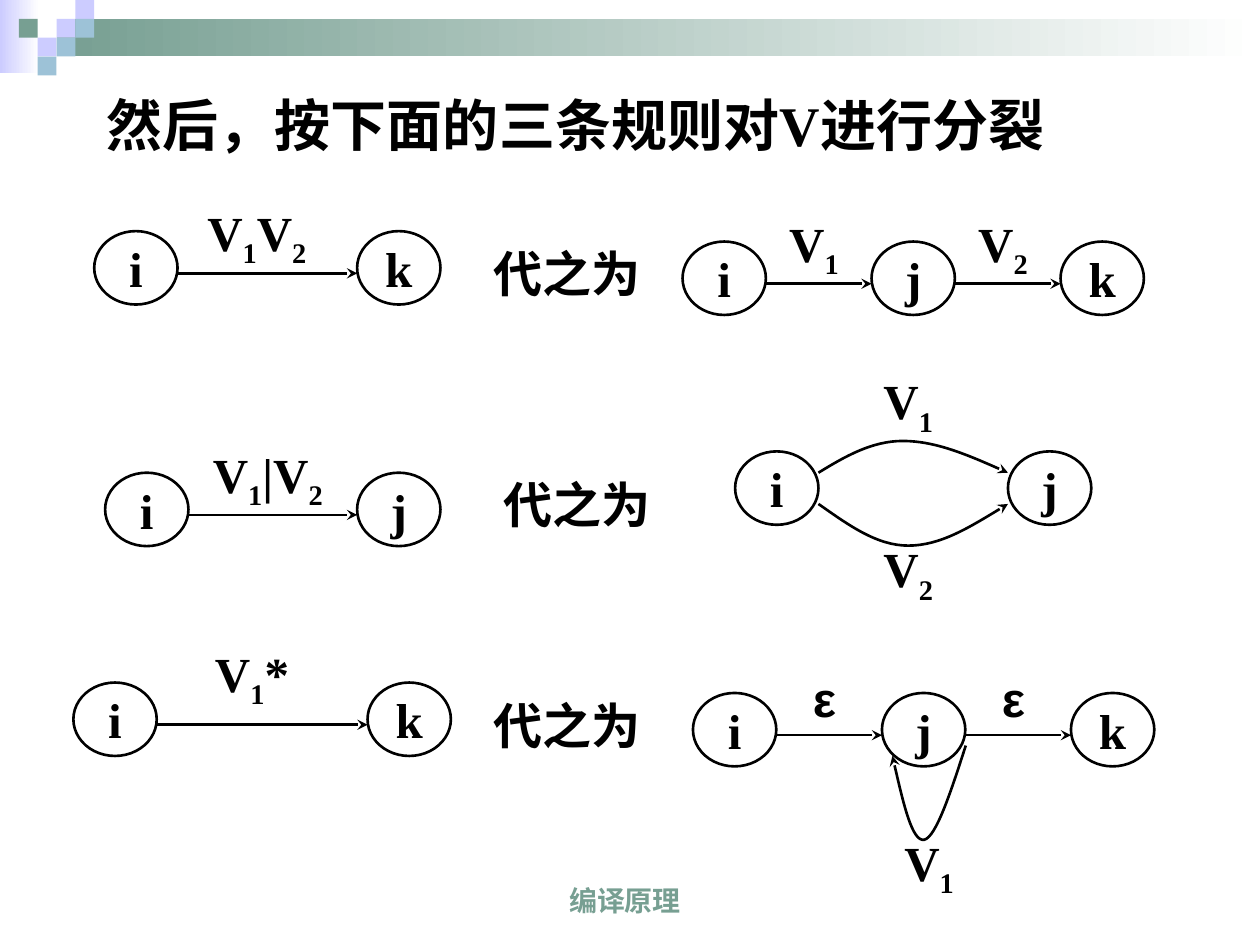
"""Build the slide on the three rules for splitting V."""
from dataclasses import dataclass

import lxml.etree
import pptx
import pptx.dml.color
import pptx.enum.dml
import pptx.enum.shapes
import pptx.enum.text
import pptx.oxml.ns
import pptx.util

Cm = pptx.util.Cm
ALIGN = pptx.enum.text.PP_ALIGN
ANCHOR = pptx.enum.text.MSO_ANCHOR
SHAPE = pptx.enum.shapes.MSO_SHAPE
qn = pptx.oxml.ns.qn


@dataclass(frozen=True)
class Theme:
    ink: str = "000000"
    green: str = "779F92"
    lilac: str = "CCCCFF"
    blue: str = "9DC2D7"
    white: str = "FFFFFF"
    serif: str = "Times New Roman"
    sans: str = "Arial"
    title_size: int = 32
    body_size: int = 28
    footer_size: int = 16
    line_width: float = 1.5
    node_width: float = 1.68
    node_height: float = 1.48
    edge_drop: float = 0.85
    label_width: float = 2.33
    label_rise: float = 0.64
    square: float = 0.38


THEME = Theme()


def rgb(value):
    """Return a colour from its hex value."""
    return pptx.dml.color.RGBColor.from_string(value)


def write(shape, text, *, size=THEME.body_size, font=THEME.serif, color=THEME.ink,
          align=ALIGN.CENTER, anchor=ANCHOR.MIDDLE, wrap=False):
    """Fill a shape with bold text, where each underscore lowers the next character."""
    frame = shape.text_frame
    frame.auto_size = pptx.enum.text.MSO_AUTO_SIZE.NONE
    frame.word_wrap = wrap
    frame.vertical_anchor = anchor
    paragraph = frame.paragraphs[0]
    paragraph.alignment = align
    first, *rest = text.split("_")
    pieces = [(first, False)]
    for part in rest:
        pieces += [(part[:1], True), (part[1:], False)]
    for piece, lowered in pieces:
        if not piece:
            continue
        run = paragraph.add_run()
        run.text = piece
        run.font.size = pptx.util.Pt(size)
        run.font.name = font
        run.font.bold = True
        run.font.color.rgb = rgb(color)
        if lowered:
            run._r.get_or_add_rPr().set("baseline", "-25000")


def add_text(slide, text, left, top, width, height, **text_format):
    """Add a text box."""
    box = slide.shapes.add_textbox(Cm(left), Cm(top), Cm(width), Cm(height))
    write(box, text, **text_format)


def add_block(slide, left, top, width, height, color, fade_to=None):
    """Add a borderless rectangle, plain or fading from left to right."""
    block = slide.shapes.add_shape(SHAPE.RECTANGLE, Cm(left), Cm(top), Cm(width), Cm(height))
    block.shadow.inherit = False
    block.line.fill.background()
    if fade_to is None:
        block.fill.solid()
        block.fill.fore_color.rgb = rgb(color)
        return
    block.fill.gradient()
    block.fill.gradient_angle = 0
    for stop, value in zip(block.fill.gradient_stops, (color, fade_to)):
        stop.color.rgb = rgb(value)


def set_line(shape, arrow=False):
    """Draw a shape's line in ink, with an arrowhead at its end if asked."""
    shape.line.color.rgb = rgb(THEME.ink)
    shape.line.width = pptx.util.Pt(THEME.line_width)
    if arrow:
        line = shape.line._get_or_add_ln()
        lxml.etree.SubElement(line, qn("a:tailEnd"), type="stealth")


def add_node(slide, name, left, top):
    """Add a state circle."""
    node = slide.shapes.add_shape(SHAPE.OVAL, Cm(left), Cm(top),
                                  Cm(THEME.node_width), Cm(THEME.node_height))
    node.shadow.inherit = False
    node.fill.background()
    set_line(node)
    write(node, name)


def add_arrow(slide, start, end, y):
    """Add a level arrow."""
    arrow = slide.shapes.add_connector(pptx.enum.shapes.MSO_CONNECTOR.STRAIGHT,
                                       Cm(start), Cm(y), Cm(end), Cm(y))
    set_line(arrow, arrow=True)
    lxml.etree.SubElement(arrow._element.spPr, qn("a:effectLst"))


def add_curve(slide, points):
    """Add a curved arrow through a start point and triples of Bézier points."""
    start, *others = [(Cm(x), Cm(y)) for x, y in points]
    builder = slide.shapes.build_freeform(*start)
    builder.add_line_segments(others, close=False)
    curve = builder.convert_to_shape()
    outline = curve._element.find(".//" + qn("a:path"))
    segments = outline.findall(qn("a:lnTo"))
    for index in range(0, len(segments), 3):
        bezier = lxml.etree.SubElement(outline, qn("a:cubicBezTo"))
        for segment in segments[index:index + 3]:
            bezier.append(segment[0])
            outline.remove(segment)
    curve.shadow.inherit = False
    curve.fill.background()
    set_line(curve, arrow=True)


def add_label(slide, text, center, top, **text_format):
    """Add an edge label centred on a point."""
    add_text(slide, text, center - THEME.label_width / 2, top,
             THEME.label_width, THEME.node_height, **text_format)


def add_chain(slide, top, nodes, labels, rise=THEME.label_rise, **label_format):
    """Add a row of states joined by labelled arrows."""
    for name, left in nodes:
        add_node(slide, name, left, top)
    for (_, left), (_, right) in zip(nodes, nodes[1:]):
        add_arrow(slide, left + THEME.node_width, right, top + THEME.edge_drop)
    for text, center in labels:
        add_label(slide, text, center, top - rise, **label_format)


def add_banner(slide):
    """Add the fading bars and the squares at the top."""
    unit = THEME.square
    add_block(slide, 0, 0, 0.79, 1.47, THEME.lilac, THEME.white)
    add_block(slide, 3 * unit, unit, 24.26, 0.76, THEME.green, THEME.white)
    squares = {THEME.lilac: [(3, 1), (4, 0), (2, 2)],
               THEME.blue: [(4, 1), (3, 2), (2, 3)],
               THEME.green: [(1, 1)]}
    for color, cells in squares.items():
        for column, row in cells:
            add_block(slide, column * unit, row * unit, unit, unit, color)


def add_title(slide, text):
    """Place and fill the title."""
    title = slide.shapes.title
    title.left, title.top, title.width, title.height = Cm(1.9), Cm(1.7), Cm(21.6), Cm(1.9)
    write(title, text, size=THEME.title_size, align=ALIGN.JUSTIFY, anchor=ANCHOR.TOP, wrap=True)


def main():
    """Build and save the slide."""
    presentation = pptx.Presentation()
    presentation.slide_width, presentation.slide_height = Cm(25.4), Cm(19.05)
    slide = presentation.slides.add_slide(presentation.slide_layouts[5])
    add_banner(slide)
    add_title(slide, "然后，按下面的三条规则对V进行分裂")
    for left, top in [(9.95, 4.66), (10.16, 9.31), (9.95, 13.76)]:
        add_text(slide, "代之为", left, top, 2.96, 1.7)

    add_chain(slide, 4.66, [("i", 1.9), ("k", 7.2)], [("V_1V_2", 5.18)])
    add_chain(slide, 4.87, [("i", 13.76), ("j", 17.57), ("k", 21.38)],
              [("V_1", 16.41), ("V_2", 20.22)])

    add_chain(slide, 9.53, [("i", 2.12), ("j", 7.2)], [("V_1|V_2", 5.4)])
    add_node(slide, "i", 14.82, 9.1)
    add_node(slide, "j", 20.32, 9.1)
    add_curve(slide, [(16.5, 9.53), (17.04, 9.2), (17.58, 8.89), (18.2, 8.89),
                      (18.84, 8.89), (19.58, 9.2), (20.32, 9.53)])
    add_curve(slide, [(16.5, 10.16), (17.1, 10.58), (17.67, 11), (18.31, 11),
                      (18.95, 11), (19.63, 10.58), (20.32, 10.16)])
    add_label(slide, "V_1", 18.31, 7.41)
    add_label(slide, "V_2", 18.31, 10.8)

    add_chain(slide, 13.76, [("i", 1.48), ("k", 7.41)], [("V_1*", 5.08)], rise=0.85)
    add_chain(slide, 13.97, [("i", 13.97), ("j", 17.78), ("k", 21.59)],
              [("ε", 16.62), ("ε", 20.43)], font=THEME.sans)
    add_curve(slide, [(19.47, 15.03), (19.17, 15.96), (18.87, 16.88), (18.63, 16.93),
                      (18.39, 16.97), (18.19, 16.11), (17.99, 15.24)])
    add_label(slide, "V_1", 18.73, 16.72)

    add_text(slide, "编译原理", 8.1, 17.35, 9, 1.27, size=THEME.footer_size, font=THEME.sans,
             color=THEME.green, anchor=ANCHOR.BOTTOM, wrap=True)
    presentation.save("out.pptx")


if __name__ == "__main__":
    main()
